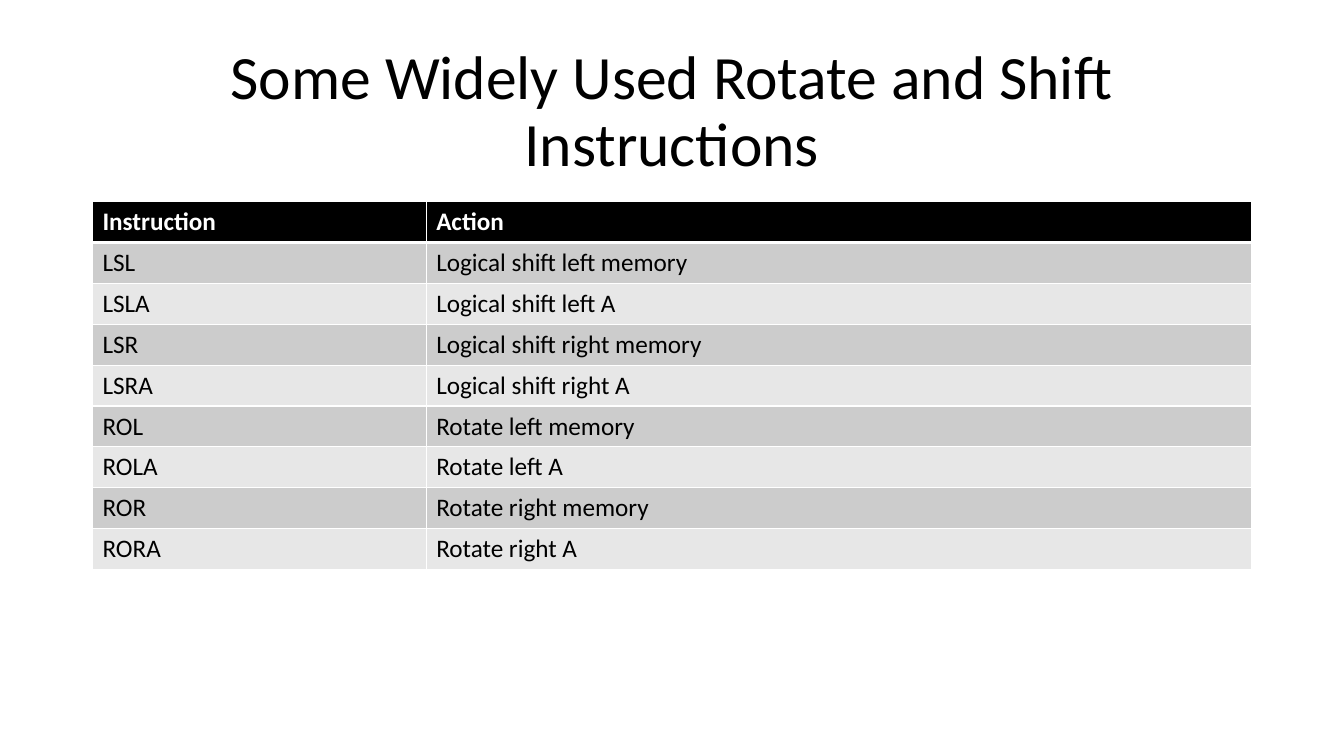
from lxml import etree
from pptx import Presentation
from pptx.dml.color import RGBColor
from pptx.enum import text
from pptx.oxml.ns import qn
from pptx.util import Cm, Pt

HUES = {"ink": "000000", "paper": "FFFFFF", "dark": "CCCCCC", "light": "E7E7E7"}
ROWS = [
    ("Instruction", "Action"),
    ("LSL", "Logical shift left memory"),
    ("LSLA", "Logical shift left A"),
    ("LSR", "Logical shift right memory"),
    ("LSRA", "Logical shift right A"),
    ("ROL", "Rotate left memory"),
    ("ROLA", "Rotate left A"),
    ("ROR", "Rotate right memory"),
    ("RORA", "Rotate right A"),
]
LEFT, WIDTH = Cm(2.33), Cm(29.21)
COLS = [Cm(8.41), Cm(20.8)]
ROW = Cm(1.03)


def hue(name):
    return RGBColor.from_string(HUES[name])


def apply(item, form):
    for key, value in form.items():
        setattr(item, key, value)


def write(para, words, size, tint, bold=False):
    run = para.add_run()
    run.text = words
    apply(run.font, {"name": "Calibri", "size": Pt(size), "bold": bold})
    run.font.color.rgb = hue(tint)


def add_title(slide, words):
    frame = slide.shapes.add_textbox(LEFT, Cm(1.01), WIDTH, Cm(3.68)).text_frame
    apply(frame, {"word_wrap": True, "vertical_anchor": text.MSO_ANCHOR.MIDDLE})
    para = frame.paragraphs[0]
    apply(para, {"alignment": text.PP_ALIGN.CENTER, "line_spacing": 0.9})
    write(para, words, 44, "ink")


def add_edges(cell, top, base):
    props = cell._tc.get_or_add_tcPr()
    for side, width in {"L": 1, "R": 1, "T": top, "B": base}.items():
        line = etree.SubElement(props, qn(f"a:ln{side}"), w=str(Pt(width)))
        fill = etree.SubElement(line, qn("a:solidFill"))
        etree.SubElement(fill, qn("a:srgbClr"), val=HUES["paper"])


def fill_cell(cell, words, row):
    head = row == 0
    add_edges(cell, 3 if row == 1 else 1, 3 if head else 1)
    cell.fill.solid()
    cell.fill.fore_color.rgb = hue("ink" if head else "dark" if row % 2 else "light")
    write(cell.text_frame.paragraphs[0], words, 18, "paper" if head else "ink", head)


def add_grid(slide, rows):
    size = len(rows), len(COLS)
    grid = slide.shapes.add_table(*size, LEFT, Cm(5.08), WIDTH, ROW * len(rows)).table
    for col, width in zip(grid.columns, COLS):
        col.width = width
    for r, words in enumerate(rows):
        grid.rows[r].height = ROW
        for c, word in enumerate(words):
            fill_cell(grid.cell(r, c), word, r)


def main():
    deck = Presentation()
    apply(deck, {"slide_width": Cm(33.87), "slide_height": Cm(19.05)})
    slide = deck.slides.add_slide(deck.slide_layouts[6])
    add_title(slide, "Some Widely Used Rotate and Shift Instructions")
    add_grid(slide, ROWS)
    deck.save("out.pptx")


if __name__ == "__main__":
    main()
